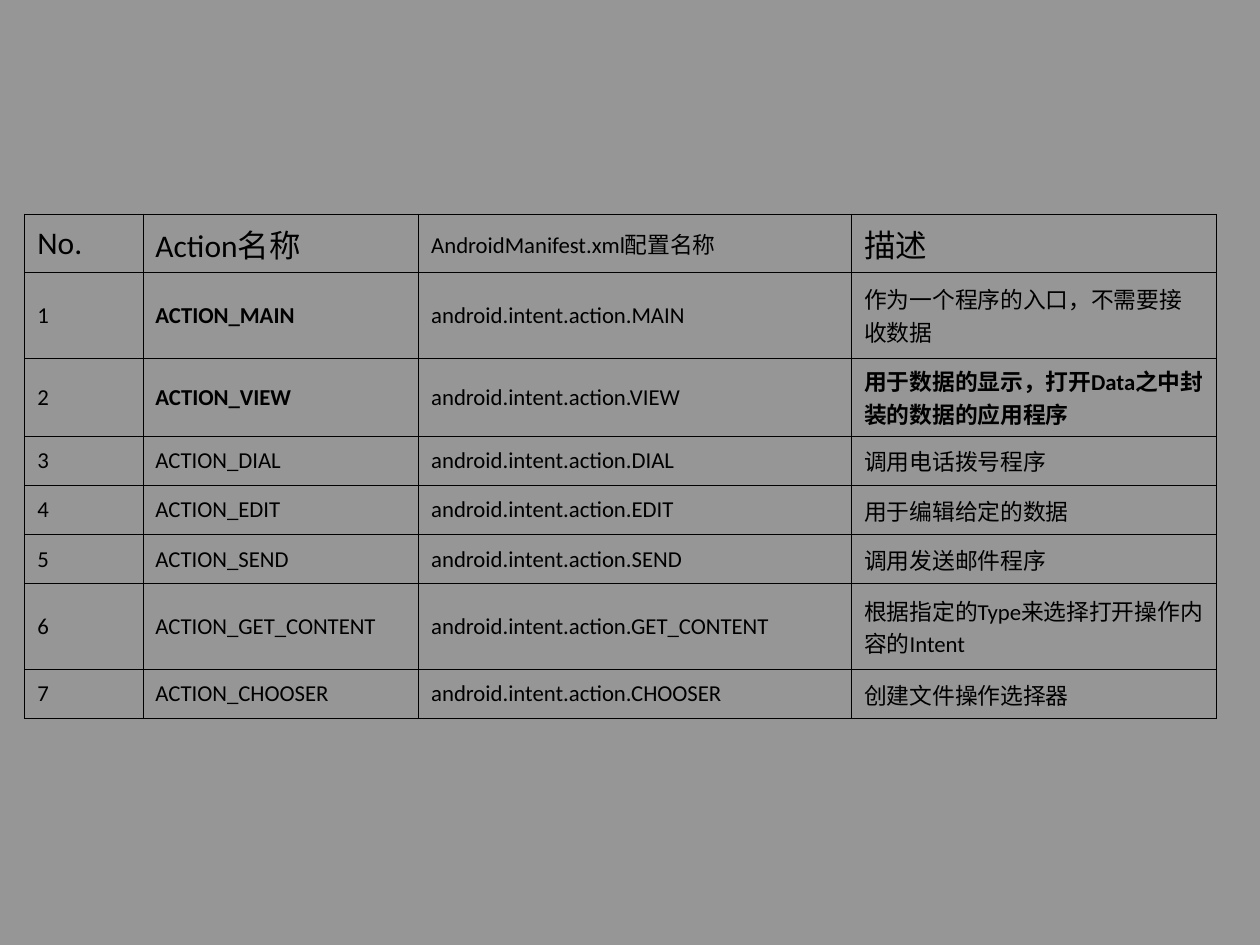
from dataclasses import dataclass

from lxml.etree import SubElement as Sub
from pptx import Presentation
from pptx.dml.color import RGBColor as Rgb
from pptx.enum.text import MSO_ANCHOR as Anchor
from pptx.oxml.ns import qn
from pptx.util import Cm, Pt


@dataclass(frozen=True)
class Theme:
    font: str = "Calibri"
    ink: str = "000000"
    back: str = "969696"
    head: float = 18
    body: float = 13
    line: float = 0.45


THEME = Theme()
WIDTHS = (2.38, 5.56, 8.73, 7.35)
HEIGHTS = (1.17, 1.73, 1.35, 0.99, 0.99, 0.99, 1.73, 0.99)
HEADS = ("No.", "Action名称", "AndroidManifest.xml配置名称", "描述")
ACTIONS = (
    ("MAIN", "作为一个程序的入口，不需要接收数据"),
    ("VIEW", "用于数据的显示，打开Data之中封装的数据的应用程序"),
    ("DIAL", "调用电话拨号程序"),
    ("EDIT", "用于编辑给定的数据"),
    ("SEND", "调用发送邮件程序"),
    ("GET_CONTENT", "根据指定的Type来选择打开操作内容的Intent"),
    ("CHOOSER", "创建文件操作选择器"),
)
SMALL_HEAD = 2
BOLD = {(1, 1), (2, 1), (2, 3)}


def set_back(slide):
    fill = slide.background.fill
    fill.solid()
    fill.fore_color.rgb = Rgb.from_string(THEME.back)


def add_edges(cell):
    props = cell._tc.get_or_add_tcPr()
    for tag in ("a:lnL", "a:lnR", "a:lnT", "a:lnB"):
        edge = Sub(props, qn(tag), w=str(int(Pt(THEME.line))))
        fill = Sub(edge, qn("a:solidFill"))
        Sub(fill, qn("a:srgbClr"), val=THEME.ink)


def fill_cell(cell, text, size, bold):
    cell.vertical_anchor = Anchor.MIDDLE
    add_edges(cell)
    cell.fill.background()
    cell.text_frame.text = text
    font = cell.text_frame.paragraphs[0].runs[0].font
    font.name = THEME.font
    font.size = Pt(size)
    font.bold = bold
    font.color.rgb = Rgb.from_string(THEME.ink)


def make_rows():
    rows = [HEADS]
    for num, (name, note) in enumerate(ACTIONS, 1):
        rows.append((str(num), f"ACTION_{name}", f"android.intent.action.{name}", note))
    return rows


def add_grid(slide, rows):
    frame = slide.shapes.add_table(
        len(rows), len(WIDTHS), Cm(0.5), Cm(4.32), Cm(sum(WIDTHS)), Cm(sum(HEIGHTS))
    )
    table = frame.table
    table.first_row = False
    table.horz_banding = False
    for col, width in zip(table.columns, WIDTHS):
        col.width = Cm(width)
    for row, height in zip(table.rows, HEIGHTS):
        row.height = Cm(height)
    for r, texts in enumerate(rows):
        for c, text in enumerate(texts):
            large = r == 0 and c != SMALL_HEAD
            size = THEME.head if large else THEME.body
            fill_cell(table.cell(r, c), text, size, (r, c) in BOLD)


def main():
    deck = Presentation()
    deck.slide_width = Cm(25.4)
    deck.slide_height = Cm(19.05)
    slide = deck.slides.add_slide(deck.slide_layouts[6])
    set_back(slide)
    add_grid(slide, make_rows())
    deck.save("out.pptx")


if __name__ == "__main__":
    main()
